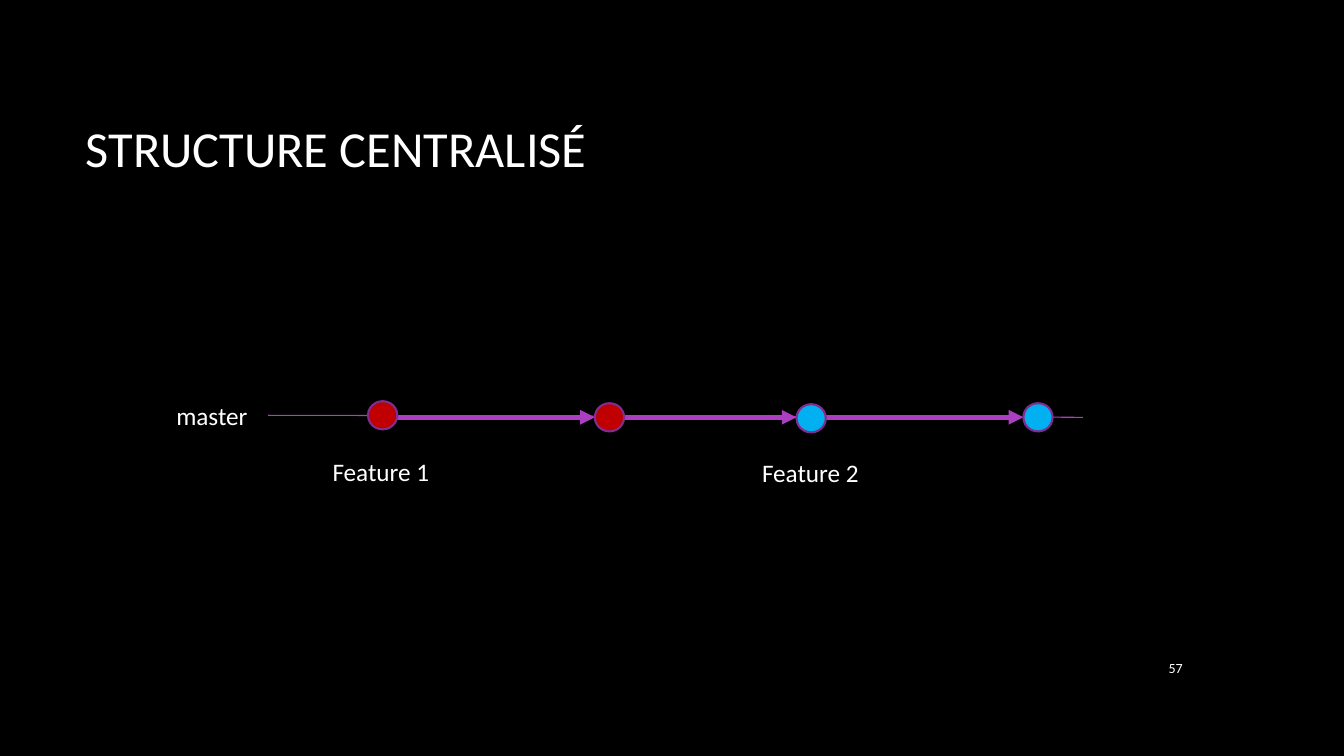
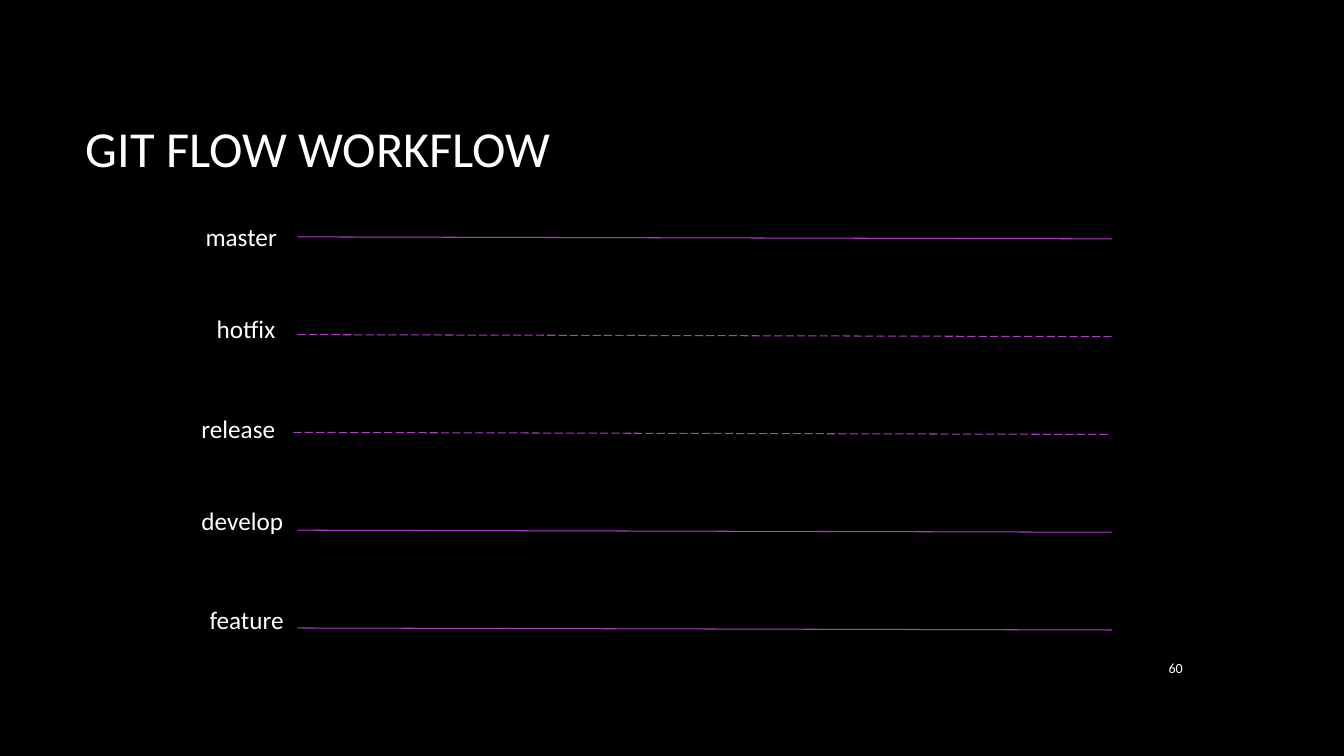
from lxml import etree
from pptx import Presentation
from pptx.dml.color import RGBColor
from pptx.enum.dml import MSO_LINE
from pptx.enum.shapes import MSO_CONNECTOR, MSO_SHAPE
from pptx.enum.text import MSO_ANCHOR, MSO_AUTO_SIZE, PP_ALIGN
from pptx.oxml.ns import qn
from pptx.util import Inches, Pt

BLACK = RGBColor(0x00, 0x00, 0x00)
WHITE = RGBColor(0xFF, 0xFF, 0xFF)
PURPLE = RGBColor(0xAC, 0x3E, 0xC1)
DARK_PURPLE = RGBColor(0x7F, 0x2E, 0x8F)
RED = RGBColor(0xC0, 0x00, 0x00)
BLUE = RGBColor(0x00, 0xB0, 0xF0)

FONT = "Calibri"
STRAIGHT = MSO_CONNECTOR.STRAIGHT
OVAL = MSO_SHAPE.OVAL
DASH = MSO_LINE.LONG_DASH
MIDDLE = MSO_ANCHOR.MIDDLE
TOP = MSO_ANCHOR.TOP
NO_FIT = MSO_AUTO_SIZE.NONE
GROW = MSO_AUTO_SIZE.SHAPE_TO_FIT_TEXT
LEFT, RIGHT = PP_ALIGN.LEFT, PP_ALIGN.RIGHT

TITLE_ONLY = 5
LABEL_HEIGHT = 0.4
LANE_WIDTH, LANE_DROP = 8.08, 0.02
LANE_TOP, LANE_PITCH = 2.35, 0.97
COMMIT_WIDTH, COMMIT_HEIGHT = 0.29, 0.28
ARROW_Y = 4.14

COMMITS = [(3.65, 3.98, RED), (5.9, 4, RED), (7.9, 4.01, BLUE), (10.15, 4, BLUE)]
CENTRAL_LABELS = [
    ("master", 1.65, 3.92, 0.92),
    ("Feature 1", 3.2, 4.48, 1.17),
    ("Feature 2", 7.46, 4.49, 1.17),
]
BRANCHES = [
    ("master", 1.94, 2.15, 0.92, 2.95, None),
    ("hotfix", 2.05, 3.06, 0.8, 2.95, DASH),
    ("release", 1.9, 4.05, 0.94, 2.91, DASH),
    ("develop", 1.9, 4.96, 1.02, 2.95, None),
    ("feature", 1.98, 5.95, 0.95, 2.95, None),
]


def write(sp, text, size, align=LEFT, anchor=TOP, fit=NO_FIT, wrap=True):
    tf = sp.text_frame
    tf.text = text
    tf.word_wrap = wrap
    tf.auto_size = fit
    tf.vertical_anchor = anchor
    p = tf.paragraphs[0]
    p.alignment = align
    p.font.name = FONT
    p.font.size = Pt(size)
    p.font.color.rgb = WHITE


def add_text(s, x, y, w, h, text, size, **layout):
    sp = s.shapes.add_textbox(Inches(x), Inches(y), Inches(w), Inches(h))
    write(sp, text, size, **layout)


def add_label(s, text, x, y, w):
    add_text(s, x, y, w, LABEL_HEIGHT, text, 18, fit=GROW, wrap=False)


def add_line(s, x1, y1, x2, y2, width=0.75, dash=None, arrow=False):
    cxn = s.shapes.add_connector(STRAIGHT, Inches(x1), Inches(y1), Inches(x2), Inches(y2))
    cxn.line.color.rgb = PURPLE
    cxn.line.width = Pt(width)
    if dash:
        cxn.line.dash_style = dash
    sp_pr = cxn._element.spPr
    if arrow:
        etree.SubElement(sp_pr.find(qn("a:ln")), qn("a:tailEnd"), type="triangle")
    etree.SubElement(sp_pr, qn("a:effectLst"))


def add_lane(s, x, y, dash=None):
    add_line(s, x, y, x + LANE_WIDTH, y + LANE_DROP, dash=dash)


def add_commit(s, x, y, color):
    sp = s.shapes.add_shape(
        OVAL, Inches(x), Inches(y), Inches(COMMIT_WIDTH), Inches(COMMIT_HEIGHT))
    sp.shadow.inherit = False
    sp.fill.solid()
    sp.fill.fore_color.rgb = color
    sp.line.color.rgb = DARK_PURPLE
    sp.line.width = Pt(1.5)


def add_slide(prs, title, number):
    s = prs.slides.add_slide(prs.slide_layouts[TITLE_ONLY])
    sp = s.shapes.title
    sp.left, sp.top, sp.width, sp.height = map(Inches, (0.75, 0.67, 11.08, 1.59))
    write(sp, title, 36, anchor=MIDDLE)
    add_text(s, 11.23, 6.42, 0.6, 0.41, number, 10, align=RIGHT, anchor=MIDDLE)
    return s


def build_central(prs):
    s = add_slide(prs, "STRUCTURE CENTRALISÉ", "57")
    add_lane(s, 2.66, 4.12)
    for (start, _, _), (end, _, _) in zip(COMMITS, COMMITS[1:]):
        add_line(s, start + COMMIT_WIDTH, ARROW_Y, end, ARROW_Y, width=3.5, arrow=True)
    for commit in COMMITS:
        add_commit(s, *commit)
    for label in CENTRAL_LABELS:
        add_label(s, *label)


def build_git_flow(prs):
    s = add_slide(prs, "GIT FLOW WORKFLOW", "60")
    for i, (name, x, y, w, lane_x, dash) in enumerate(BRANCHES):
        add_lane(s, lane_x, LANE_TOP + i * LANE_PITCH, dash)
        add_label(s, name, x, y, w)


def main():
    prs = Presentation()
    prs.slide_width, prs.slide_height = Inches(13.33), Inches(7.5)
    fill = prs.slide_master.background.fill
    fill.solid()
    fill.fore_color.rgb = BLACK
    build_central(prs)
    build_git_flow(prs)
    prs.save("out.pptx")


if __name__ == "__main__":
    main()
